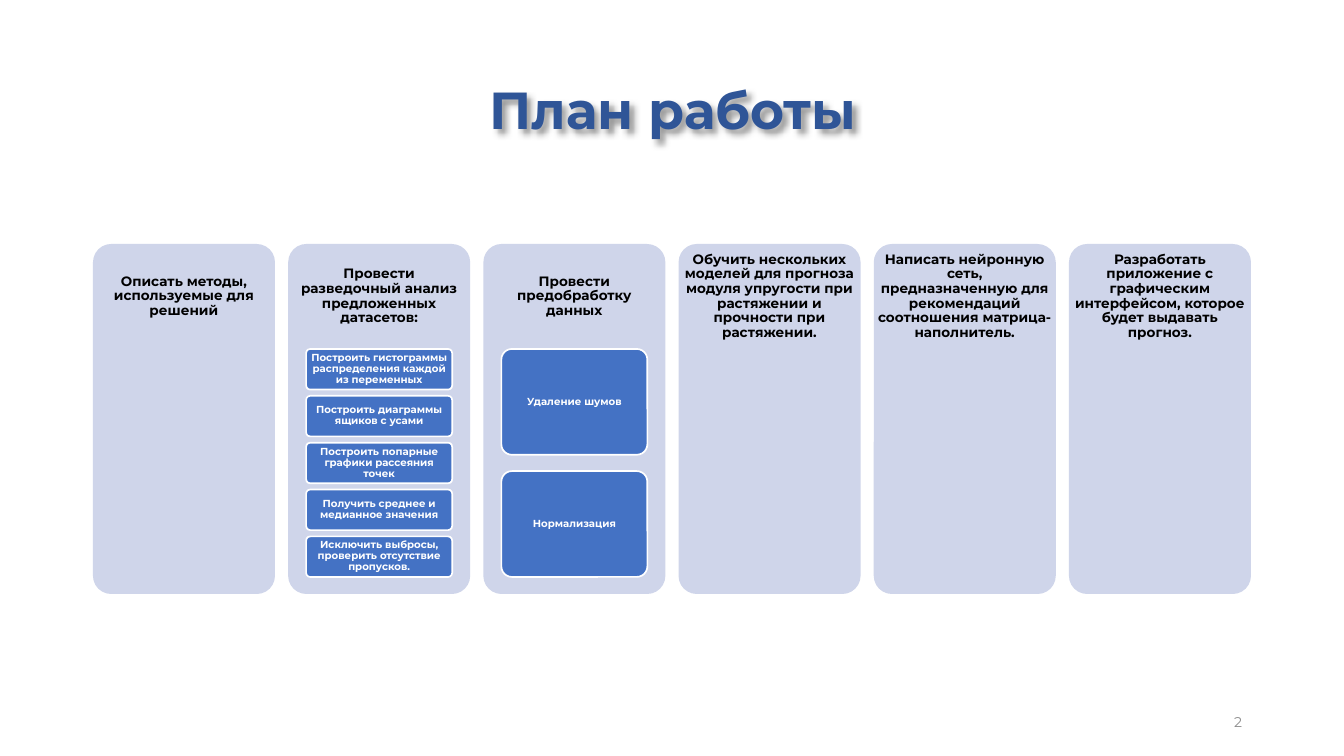
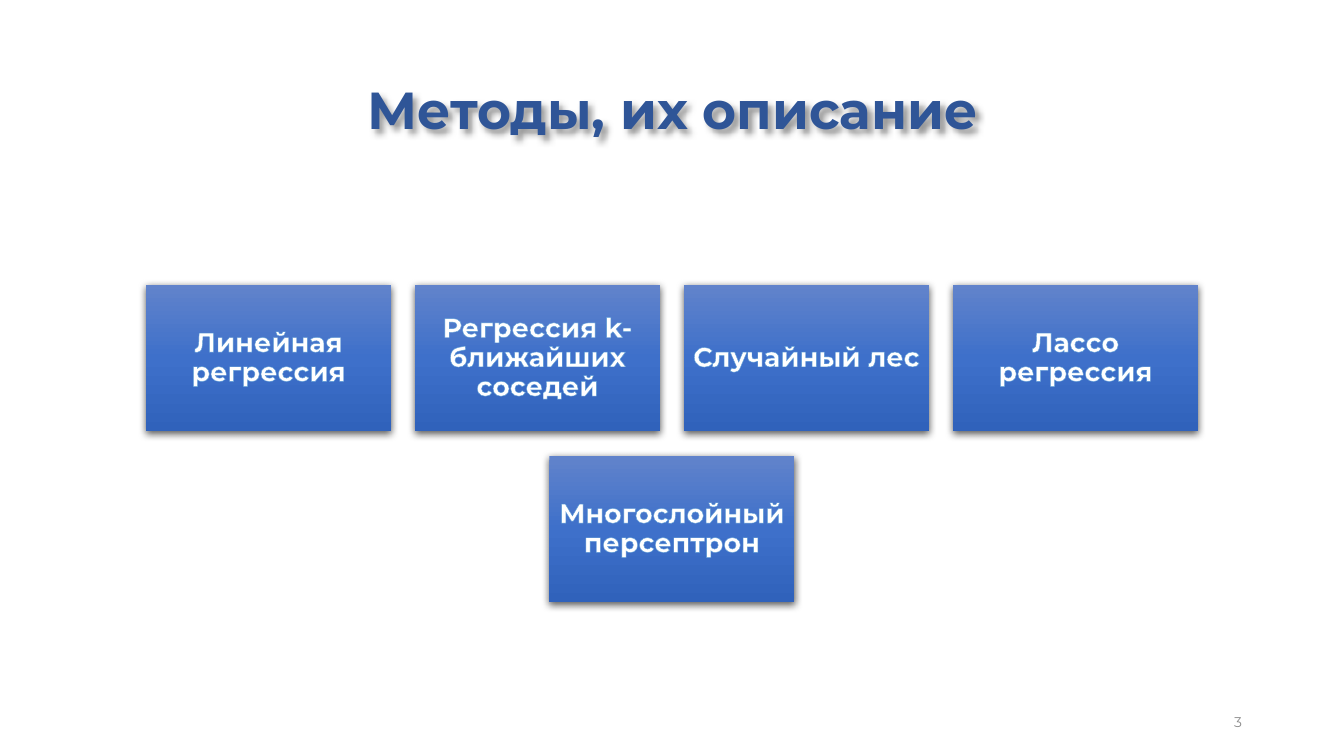
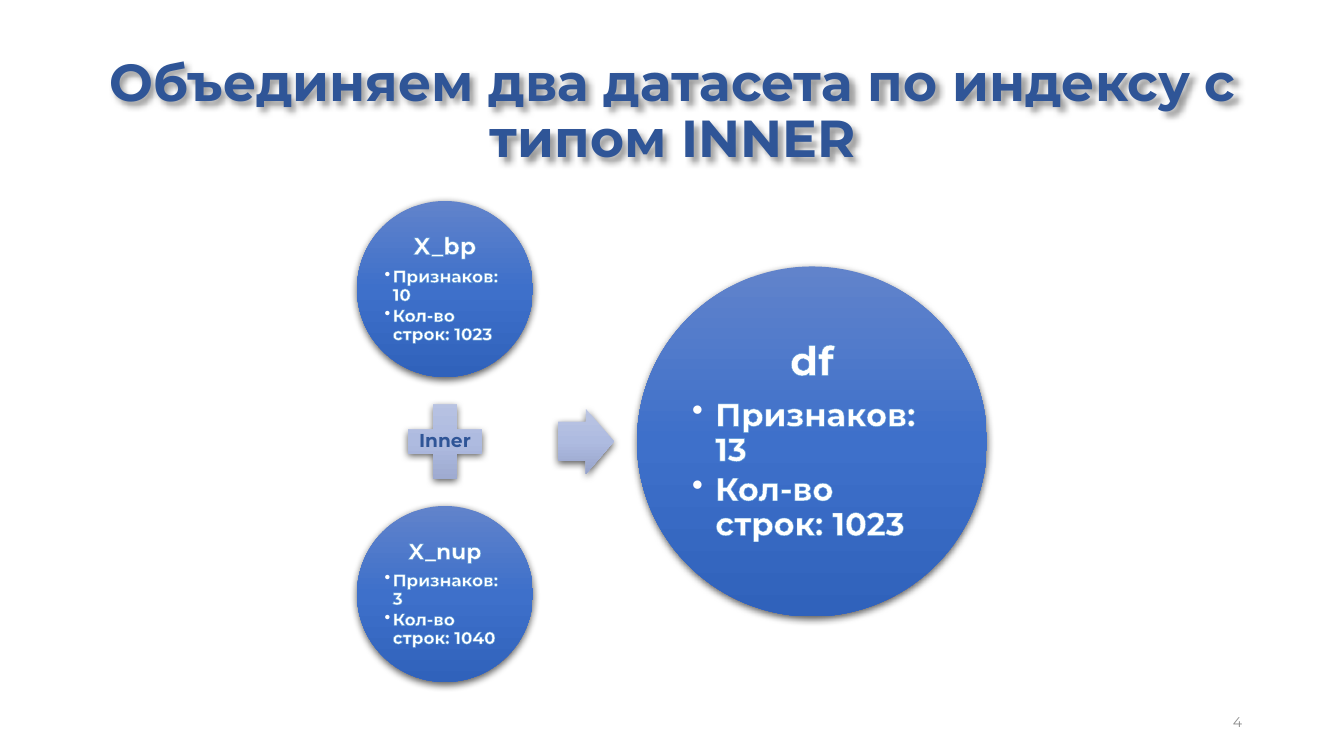
from lxml import etree
from pptx import Presentation
from pptx import util as u
from pptx.dml.color import RGBColor
from pptx.enum import shapes, text
from pptx.oxml.ns import qn

# Content
PLAN = [
    ("Описать методы, используемые для решений", []),
    ("Провести разведочный анализ предложенных датасетов:", [
        "Построить гистограммы распределения каждой из переменных",
        "Построить диаграммы ящиков с усами",
        "Построить попарные графики рассеяния точек",
        "Получить среднее и медианное значения",
        "Исключить выбросы, проверить отсутствие пропусков.",
    ]),
    ("Провести предобработку данных", ["Удаление шумов", "Нормализация"]),
    ("Обучить нескольких моделей для прогноза модуля упругости при "
     "растяжении и прочности при растяжении.", []),
    ("Написать нейронную сеть, предназначенную для рекомендаций "
     "соотношения матрица-наполнитель.", []),
    ("Разработать приложение с графическим интерфейсом, которое будет "
     "выдавать прогноз.", []),
]
METHOD_ROWS = [
    ["Линейная регрессия", "Регрессия k-ближайших соседей",
     "Случайный лес", "Лассо регрессия"],
    ["Многослойный персептрон"],
]
# name, name size, facts
SOURCES = [
    ("X_bp", 14, ["Признаков: 10", "Кол-во строк: 1023"]),
    ("X_nup", 13, ["Признаков: 3", "Кол-во строк: 1040"]),
]
MERGED = ("df", 24, ["Признаков: 13", "Кол-во строк: 1023"])

# Shared style
SLIDE_W, SLIDE_H = 1344, 756
FONT = "Montserrat"
WHITE = RGBColor(0xFF, 0xFF, 0xFF)
BLACK = RGBColor(0x00, 0x00, 0x00)
NAVY = RGBColor(0x2F, 0x55, 0x97)
BLUE = RGBColor(0x44, 0x72, 0xC4)
PALE = RGBColor(0xCF, 0xD5, 0xEA)
GREY = RGBColor(0x8C, 0x8C, 0x8C)
GLOW = RGBColor(0x5B, 0x9B, 0xD5)
DEEP_BLEND = [RGBColor(0x61, 0x83, 0xCB), RGBColor(0x3E, 0x70, 0xCA),
              RGBColor(0x30, 0x62, 0xBB)]
PALE_BLEND = [RGBColor(0xBB, 0xC5, 0xE3), RGBColor(0xAE, 0xBB, 0xE0),
              RGBColor(0x98, 0xA4, 0xCB)]
CENTER, LEFT, RIGHT = (text.PP_ALIGN.CENTER, text.PP_ALIGN.LEFT,
                       text.PP_ALIGN.RIGHT)
SHAPE = shapes.MSO_SHAPE


def px(length):
    return u.Emu(round(length * 914400 / 122))


def child(parent, tag, **attributes):
    node = etree.SubElement(parent, qn(tag))
    for key, value in attributes.items():
        node.set(key, str(value))
    return node


def color_node(parent, color):
    return child(parent, "a:srgbClr", val=color)


def cast_shadow(shape, blur, distance, angle, alpha):
    shape.shadow.inherit = False
    effects = shape._element.spPr.find(qn("a:effectLst"))
    outer = child(effects, "a:outerShdw", blurRad=u.Pt(blur),
                  dist=u.Pt(distance), dir=angle * 60000, algn="ctr",
                  rotWithShape=0)
    child(color_node(outer, BLACK), "a:alpha", val=alpha * 1000)


def prepare(shape, margins):
    frame = shape.text_frame
    frame.word_wrap = True
    frame.vertical_anchor = text.MSO_ANCHOR.MIDDLE
    frame.margin_left = frame.margin_right = px(margins[0])
    frame.margin_top = frame.margin_bottom = px(margins[1])
    return frame


def write(paragraph, words, size, color, align=CENTER, bold=True,
          spacing=0.9, after=0, outlined=False):
    paragraph.alignment = align
    paragraph.line_spacing = spacing
    paragraph.space_after = u.Pt(after)
    run = paragraph.add_run()
    run.text = words
    font = run.font
    font.name, font.size, font.bold = FONT, u.Pt(size), bold
    font.color.rgb = color
    if outlined:
        edge = etree.Element(qn("a:ln"), w=str(u.Pt(0.8)))
        color_node(child(edge, "a:solidFill"), GLOW)
        run._r.get_or_add_rPr().insert(0, edge)


def add_label(slide, box, margins, words, size, color, **style):
    label = slide.shapes.add_textbox(*map(px, box))
    write(prepare(label, margins).paragraphs[0], words, size, color, **style)
    return label


def add_block(slide, kind, box, fill, adjustments=()):
    """Preset shape: a single colour is flat, a list is a shaded blend."""
    block = slide.shapes.add_shape(kind, *map(px, box))
    for index, value in enumerate(adjustments):
        block.adjustments[index] = value
    block.line.fill.background()
    if isinstance(fill, list):
        block.fill.gradient()
        block.fill.gradient_angle = 270
        stops = block._element.spPr.find(qn("a:gradFill")).find(qn("a:gsLst"))
        stops.clear()
        for position, color in zip((0, 50000, 100000), fill):
            color_node(child(stops, "a:gs", pos=position), color)
        cast_shadow(block, 4.5, 1.5, 90, 63)
    else:
        block.fill.solid()
        block.fill.fore_color.rgb = fill
        block.shadow.inherit = False
    return block


def add_slide(deck, number, title):
    slide = deck.slides.add_slide(deck.slide_layouts[6])
    heading = add_label(slide, (93, 40, 1160, 146), (10, 5), title, 30.7, NAVY)
    cast_shadow(heading, 4, 3, 45, 40)
    add_label(slide, (950, 702, 302, 40), (10, 5), str(number), 8.3, GREY,
              align=RIGHT, bold=False, spacing=1.0)
    return slide


# Plan: six panels, some with a stack of steps
def draw_plan(slide):
    left, right, top, width, height = 93, 1251, 244, 182, 350
    pitch = (right - left - width) / (len(PLAN) - 1)
    step_w, stack_top, stack_h, gap_ratio = 146, 349, 228, 0.154
    for column, (goal, steps) in enumerate(PLAN):
        x = left + column * pitch
        add_block(slide, SHAPE.ROUNDED_RECTANGLE, (x, top, width, height),
                  PALE, [0.1])
        add_label(slide, (x, top, width, 105), (4, 4), goal, 8, BLACK)
        count = len(steps)
        step_h = stack_h / (count + (count - 1) * gap_ratio)
        for row, step in enumerate(steps):
            y = stack_top + row * step_h * (1 + gap_ratio)
            card = add_block(slide, SHAPE.ROUNDED_RECTANGLE,
                             (x + (width - step_w) / 2, y, step_w, step_h),
                             BLUE, [0.1])
            card.line.color.rgb = WHITE
            card.line.width = u.Pt(1)
            write(prepare(card, (2, 1)).paragraphs[0], step, 6, WHITE)


# Methods: rows of cards, each row centred
def draw_methods(slide):
    top, width, height, gap = 285, 245, 146, 24
    for row, names in enumerate(METHOD_ROWS):
        left = (SLIDE_W - len(names) * (width + gap) + gap) / 2
        for column, name in enumerate(names):
            card = add_block(slide, SHAPE.RECTANGLE,
                             (left + column * (width + gap),
                              top + row * (height + gap + 1), width, height),
                             DEEP_BLEND)
            write(prepare(card, (8, 8)).paragraphs[0], name, 16, WHITE,
                  outlined=True)


def draw_dataset(slide, dataset, left, top, diameter, fact_size, hang, margin):
    name, name_size, facts = dataset
    circle = add_block(slide, SHAPE.OVAL, (left, top, diameter, diameter),
                       DEEP_BLEND)
    frame = prepare(circle, (margin, margin))
    write(frame.paragraphs[0], name, name_size, WHITE,
          after=0.35 * name_size, outlined=True)
    for fact in facts:
        line = frame.add_paragraph()
        write(line, fact, fact_size, WHITE, align=LEFT,
              after=0.15 * fact_size, outlined=True)
        layout = line._p.get_or_add_pPr()
        layout.set("marL", str(px(hang)))
        layout.set("indent", str(-px(hang)))
        child(layout, "a:buChar", char="•")


# Merge: two datasets, a plus, an arrow and the result
def draw_merge(slide):
    left, top, small, plus, gap = 357, 201, 176, 101, 14
    large, arrow_w, arrow_h = 350, 56, 65
    middle = top + small + gap + plus / 2
    for row, dataset in enumerate(SOURCES):
        y = top + row * (small + plus + 2 * gap)
        draw_dataset(slide, dataset, left, y, small, 10, 8, 2)
    sign = add_block(slide, SHAPE.MATH_PLUS,
                     (left + (small - plus) / 2, middle - plus / 2, plus, plus),
                     PALE_BLEND)
    write(prepare(sign, (0, 0)).paragraphs[0], "Inner", 11, NAVY)
    add_block(slide, SHAPE.RIGHT_ARROW,
              (558, middle - arrow_h / 2, arrow_w, arrow_h),
              PALE_BLEND, [0.6, 0.5])
    draw_dataset(slide, MERGED, 637, middle - large / 2, large, 19, 23, 4)


SLIDES = [
    ("План работы", draw_plan),
    ("Методы, их описание", draw_methods),
    ("Объединяем два датасета по индексу с типом INNER", draw_merge),
]


def main():
    deck = Presentation()
    deck.slide_width, deck.slide_height = px(SLIDE_W), px(SLIDE_H)
    for number, (title, draw) in enumerate(SLIDES, start=2):
        draw(add_slide(deck, number, title))
    deck.save("out.pptx")


if __name__ == "__main__":
    main()
